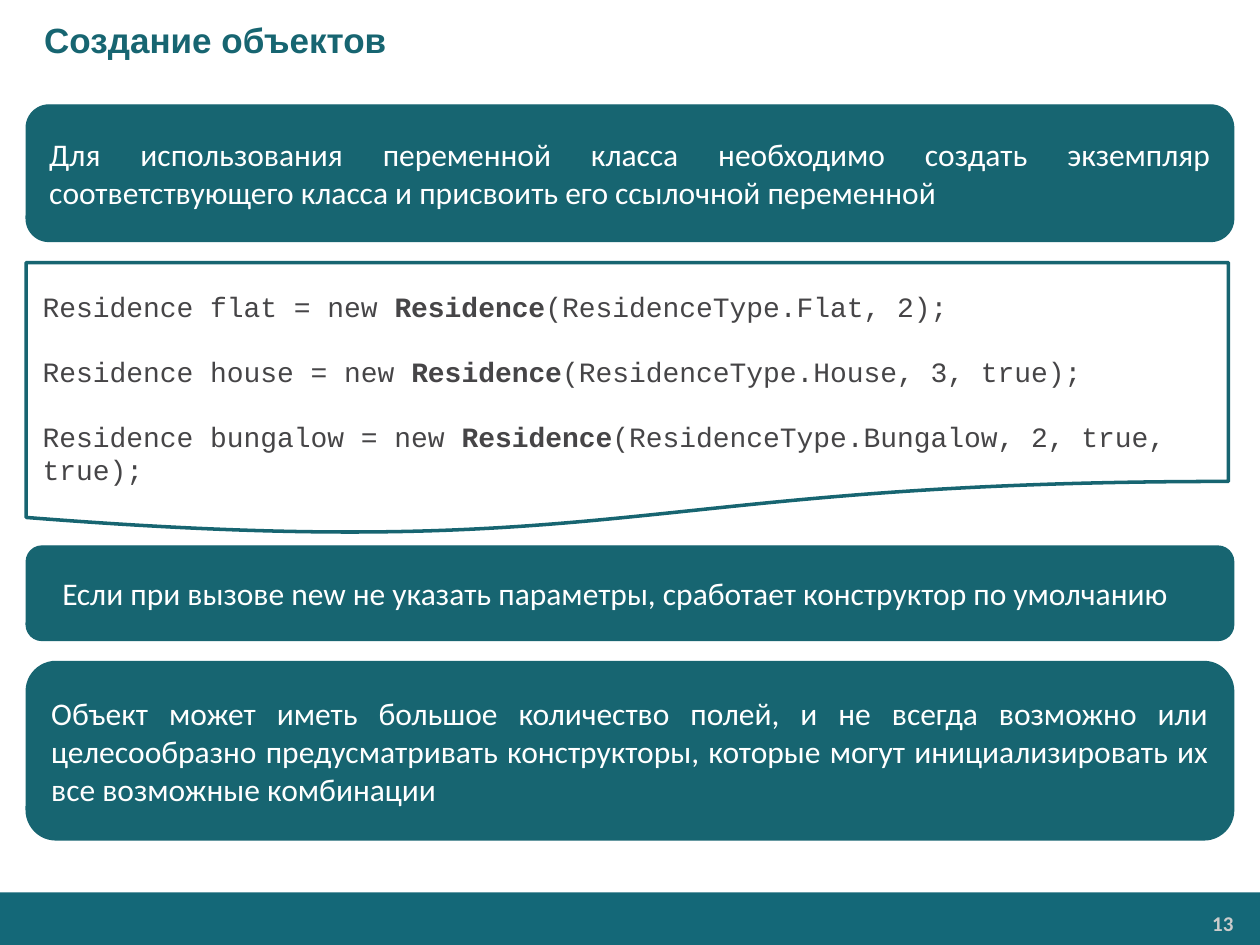
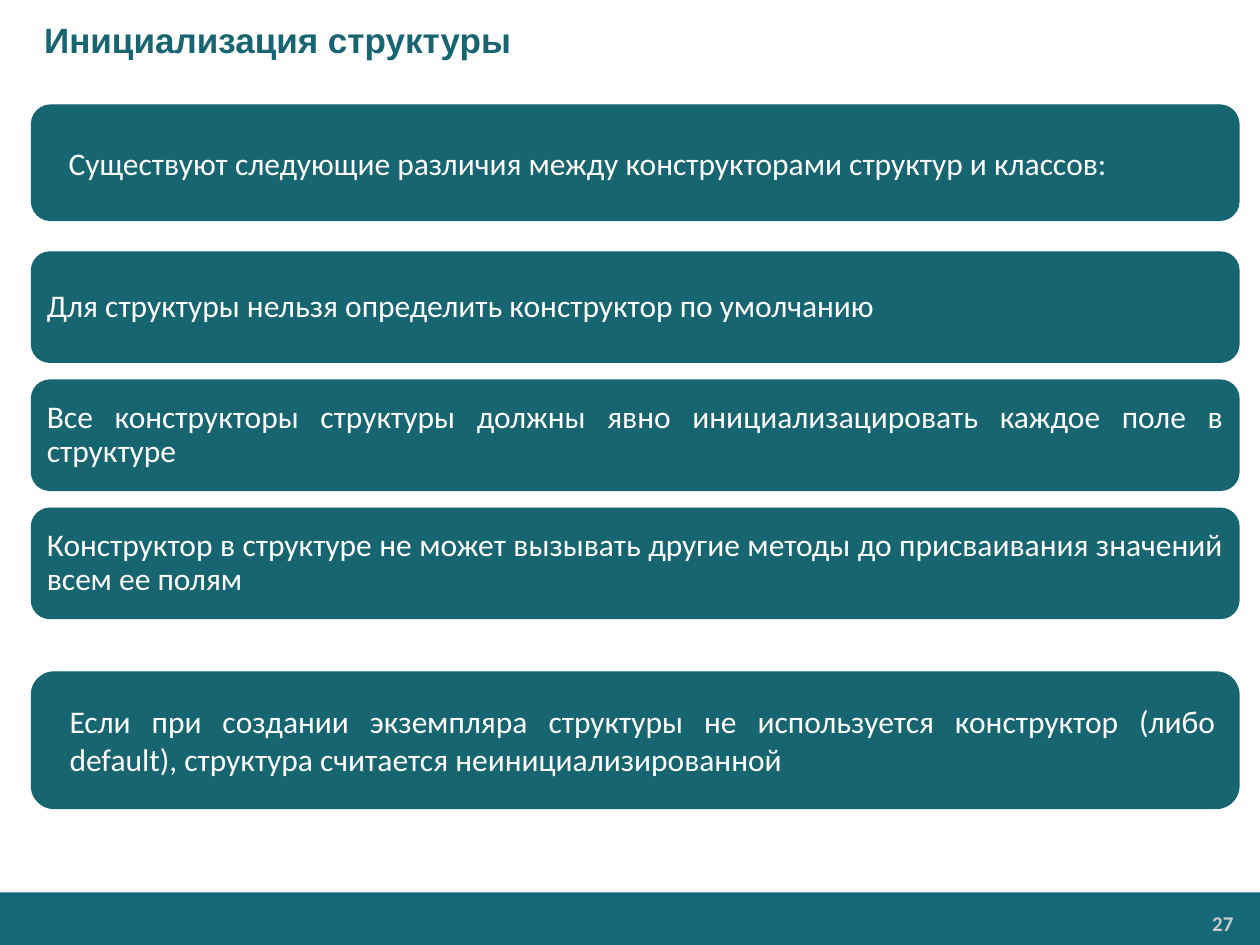
from pptx import Presentation
from pptx.dml.color import RGBColor
from pptx.enum.shapes import MSO_SHAPE as Shape
from pptx.enum.text import MSO_ANCHOR as Anchor, PP_ALIGN as Align
from pptx.util import Inches, Pt

CELL = Inches(1 / 24)  # the slide is a grid of 240 columns and 180 rows
COLUMNS, ROWS = 240, 180
TEAL, BAND, WHITE, CODE_GREY, PAGE_GREY = "176571", "146878", "FFFFFF", "464547", "CCCCCC"
PANEL_WIDTH, FIRST_ROW = 230, 20
PANEL_INSETS = (0.13, 0.06, 0.13, 0.06)
INDENTED_INSETS = (0.25, 0.06, 0.13, 0.06)
CARD_INSETS = (0.08, 0.08, 0.08, 0.08)


def style_text(paragraph, size, font, color, bold=False, align=Align.LEFT):
    paragraph.alignment = align
    for span in paragraph.runs:
        span.font.size, span.font.name, span.font.bold = Pt(size), font, bold
        span.font.color.rgb = RGBColor.from_string(color)


def add_box(page, kind, cells, fill, line=None, width=0.75, insets=PANEL_INSETS):
    """Add a filled shape; cells are left, top, width, height and insets are inches."""
    box = page.shapes.add_shape(kind, *(int(cell * CELL) for cell in cells))
    box.shadow.inherit = False
    box.fill.solid()
    box.fill.fore_color.rgb = RGBColor.from_string(fill)
    if line:
        box.line.color.rgb = RGBColor.from_string(line)
        box.line.width = Pt(width)
    else:
        box.line.fill.background()
    frame = box.text_frame
    frame.word_wrap, frame.vertical_anchor = True, Anchor.MIDDLE
    frame.margin_left, frame.margin_top, frame.margin_right, frame.margin_bottom = map(Inches, insets)
    return box


deck = Presentation()
deck.slide_width, deck.slide_height = COLUMNS * CELL, ROWS * CELL

# Each panel: top row, rows high, insets, text
slides = [
    ("Создание объектов", "13", 5, [
        (FIRST_ROW, 26, PANEL_INSETS,
         "Для использования переменной класса необходимо создать экземпляр "
         "соответствующего класса и присвоить его ссылочной переменной"),
        (104, 18, INDENTED_INSETS,
         "Если при вызове new не указать параметры, сработает конструктор по умолчанию"),
        (126, 34, PANEL_INSETS,
         "Объект может иметь большое количество полей, и не всегда возможно или "
         "целесообразно предусматривать конструкторы, которые могут инициализировать "
         "их все возможные комбинации"),
    ]),
    ("Инициализация структуры", "27", 6, [
        (FIRST_ROW, 22, INDENTED_INSETS,
         "Существуют следующие различия между конструкторами структур и классов:"),
        (128, 26, INDENTED_INSETS,
         "Если при создании экземпляра структуры не используется конструктор "
         "(либо default), структура считается неинициализированной"),
    ]),
]

pages = []
for heading, number, left, panels in slides:
    page = deck.slides.add_slide(deck.slide_layouts[5])
    pages.append(page)
    add_box(page, Shape.RECTANGLE, (0, 170, COLUMNS, 10), BAND)

    label = page.shapes.add_textbox(Inches(8.23), Inches(7.19), Inches(1.63), Inches(0.28))
    frame = label.text_frame
    frame.word_wrap = True
    frame.margin_left = frame.margin_right = Inches(0.07)
    frame.margin_top = frame.margin_bottom = Inches(0.04)
    frame.text = number
    style_text(frame.paragraphs[0], 12, "Calibri", PAGE_GREY, True, Align.RIGHT)

    title = page.shapes.title
    title.left, title.top, title.width, title.height = 0, 0, COLUMNS * CELL, 15 * CELL
    title.text_frame.text = heading
    title.text_frame.vertical_anchor = Anchor.MIDDLE
    title.text_frame.margin_left = Inches(0.35)
    style_text(title.text_frame.paragraphs[0], 20, "Arial", TEAL, True)

    for top, height, insets, text in panels:
        panel = add_box(page, Shape.ROUNDED_RECTANGLE, (left, top, PANEL_WIDTH, height),
                        TEAL, TEAL, insets=insets)
        panel.text_frame.text = text
        style_text(panel.text_frame.paragraphs[0], 18, "Calibri", WHITE, align=Align.JUSTIFY)

creation_page, structure_page = pages

# Code sample with the constructor name in bold
constructor_calls = [
    ("flat", "ResidenceType.Flat, 2"),
    ("house", "ResidenceType.House, 3, true"),
    ("bungalow", "ResidenceType.Bungalow, 2, true, true"),
]
code = add_box(creation_page, Shape.FLOWCHART_DOCUMENT, (5, 50, 229, 52), WHITE, TEAL, 2,
               (0.13, 0.31, 0.13, 0.06))
for index, (variable, arguments) in enumerate(constructor_calls):
    para = code.text_frame.add_paragraph() if index else code.text_frame.paragraphs[0]
    for text in (f"Residence {variable} = new ", "Residence", f"({arguments});"):
        para.add_run().text = text
    style_text(para, 16, "Courier New", CODE_GREY)
    para.runs[1].font.bold = True
    if index:
        para.space_before = Pt(18)

# Differences between structure and class constructors
differences = [
    "Для структуры нельзя определить конструктор по умолчанию",
    "Все конструкторы структуры должны явно инициализацировать каждое поле в структуре",
    "Конструктор в структуре не может вызывать другие методы до присваивания значений всем ее полям",
]
CARD_TOP, CARD_HEIGHT, CARD_STEP = 48, 21, 24.4
for index, text in enumerate(differences):
    card = add_box(structure_page, Shape.ROUNDED_RECTANGLE,
                   (6, CARD_TOP + index * CARD_STEP, PANEL_WIDTH, CARD_HEIGHT),
                   TEAL, TEAL, insets=CARD_INSETS)
    card.text_frame.text = text
    para = card.text_frame.paragraphs[0]
    style_text(para, 18, "Calibri", WHITE, align=Align.JUSTIFY)
    para.line_spacing = 0.9
    para.space_after = Pt(6.3)

deck.save("out.pptx")
